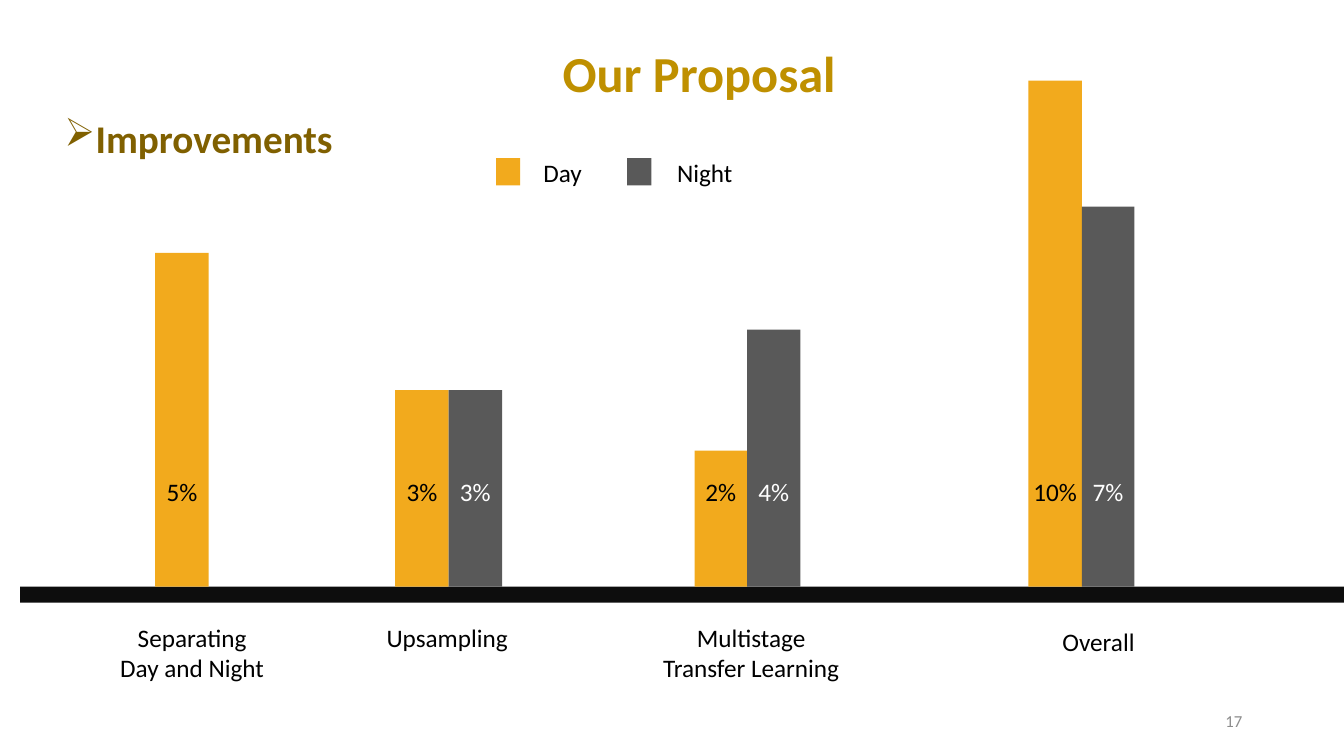
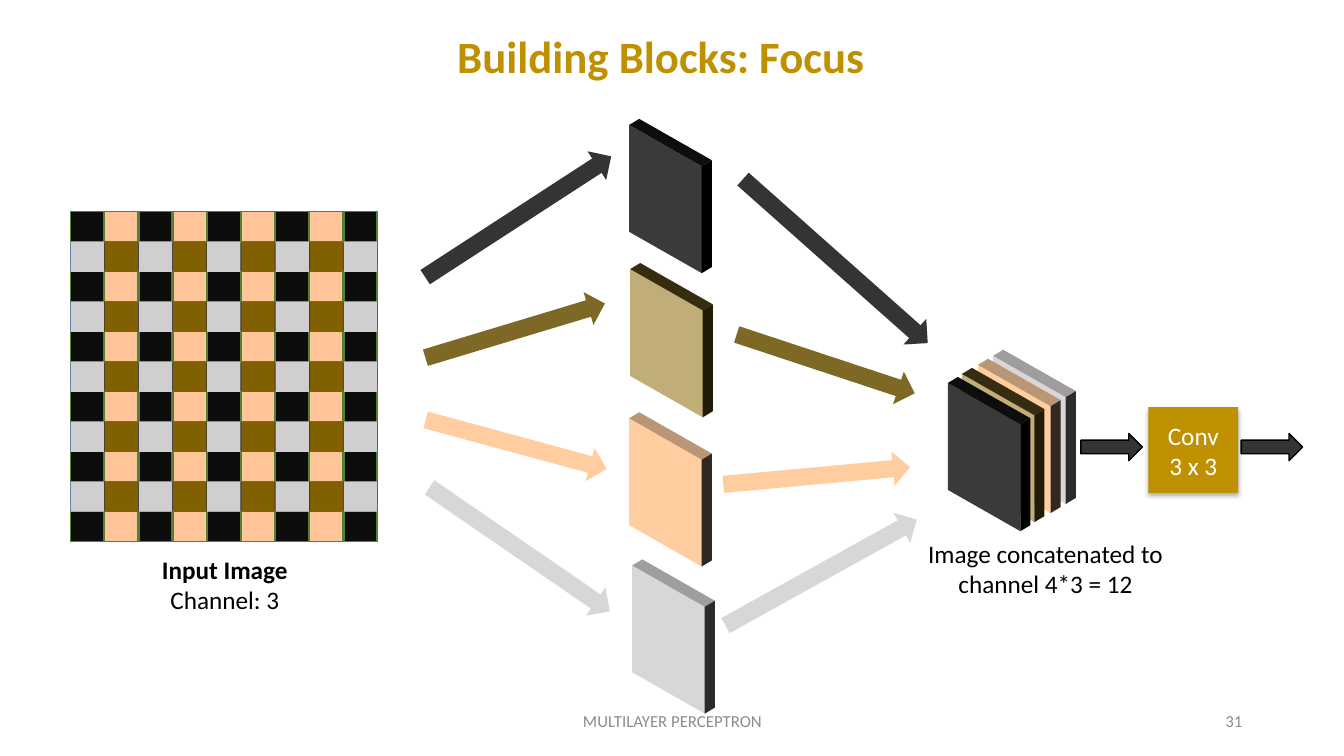
from pptx import Presentation
from pptx import util as u
from pptx.dml import color
from pptx.enum import shapes, text
from pptx.oxml import parse_xml
from pptx.oxml.ns import nsdecls

Inches = u.Inches
RECT = shapes.MSO_SHAPE.RECTANGLE
ARROW = shapes.MSO_SHAPE.RIGHT_ARROW
ALIGN = {"l": text.PP_ALIGN.LEFT, "c": text.PP_ALIGN.CENTER, "r": text.PP_ALIGN.RIGHT}

THEME = {
    "font": "Calibri",
    "size": {"title": 36, "small_title": 32, "heading": 28, "body": 18, "footer": 12},
    "color": {
        "title": "BF9000", "heading": "806000", "text": "000000", "white": "FFFFFF",
        "footer": "8C8C8C", "day": "F2AA1D", "night": "595959", "ink": "0D0D0D",
        "dark": "343434", "olive": "7E6825", "peach": "FFCD9F", "grey": "D8D6D6",
        "cell_peach": "FFC599", "cell_olive": "806000", "cell_grey": "D0CECE",
        "cell_line": "538035", "panel_line": "325491",
    },
    # Front, top and side of each slab
    "slab": {
        "dark": ("3A3A3A", "0D0D0D", "000000"),
        "olive": ("C0AD77", "362C10", "221B08"),
        "peach": ("FFCD9F", "BA9676", "33281F"),
        "grey": ("D8D6D6", "9F9D9D", "2B2B2B"),
    },
}
COLOR = {name: color.RGBColor.from_string(value) for name, value in THEME["color"].items()}


def write(page, at, lines, size="body", ink="text", bold=False, align="c", middle=False, box=None):
    """Put one paragraph per line into a new text box, or into the given shape."""
    box = box or page.shapes.add_textbox(*map(Inches, at))
    frame = box.text_frame
    frame.word_wrap = True
    frame.vertical_anchor = text.MSO_ANCHOR.MIDDLE if middle else text.MSO_ANCHOR.TOP
    for index, line in enumerate(lines):
        para = frame.paragraphs[0] if index == 0 else frame.add_paragraph()
        para.alignment = ALIGN[align]
        span = para.add_run()
        span.text = line
        span.font.color.rgb = COLOR[ink]
        look = {"name": THEME["font"], "size": u.Pt(THEME["size"][size]), "bold": bold}
        for name, value in look.items():
            setattr(span.font, name, value)
    return box


def draw(page, kind, at, fill, line=None, rotation=0):
    """Add a flat preset shape."""
    shape = page.shapes.add_shape(kind, *map(Inches, at))
    shape.shadow.inherit = False
    shape.rotation = rotation
    shape.fill.solid()
    shape.fill.fore_color.rgb = COLOR[fill]
    if line:
        shape.line.color.rgb = COLOR[line]
        shape.line.width = u.Pt(1)
    else:
        shape.line.fill.background()
    return shape


deck = Presentation()
deck.slide_width, deck.slide_height = Inches(13.33), Inches(7.5)
proposal, focus = [deck.slides.add_slide(deck.slide_layouts[6]) for _ in range(2)]

# Titles and page numbers
for page, title, at, size, number in (
    (proposal, "Our Proposal", (4.3, 0.37, 5.27, 0.71), "title", "17"),
    (focus, "Building Blocks: Focus", (2, 0.24, 9.11, 1.21), "small_title", "31"),
):
    write(page, at, [title], size, "title", bold=True)
    write(page, (9.42, 6.95, 3, 0.4), [number], "footer", "footer", align="r", middle=True)

# Proposal: heading with arrow bullet
heading = write(proposal, (0.54, 1.08, 12.25, 0.98), ["Improvements"], "heading", "heading",
                bold=True, align="l")
settings = heading.text_frame.paragraphs[0]._p.get_or_add_pPr()
settings.set("marL", str(Inches(0.31)))
settings.set("indent", str(-Inches(0.31)))
settings.append(parse_xml(f'<a:buChar {nsdecls("a")} char="➢"/>'))

# Proposal: axis and bars
baseline = 5.82
draw(proposal, RECT, (0.2, baseline, 13.13, 0.16), "ink")
for left, width, height, series, label in (
    (1.54, 0.53, 3.31, "day", "5%"),
    (3.92, 0.53, 1.95, "day", "3%"),
    (4.45, 0.53, 1.95, "night", "3%"),
    (6.89, 0.52, 1.35, "day", "2%"),
    (7.41, 0.53, 2.55, "night", "4%"),
    (10.2, 0.53, 5.02, "day", "10%"),
    (10.73, 0.52, 3.77, "night", "7%"),
):
    draw(proposal, RECT, (left, baseline - height, width, height), series)
    write(proposal, (left + width / 2 - 0.35, 4.68, 0.7, 0.4), [label],
          ink="text" if series == "day" else "white")

# Proposal: category names
for left, top, width, lines in (
    (0.98, 6.12, 1.85, ["Separating", "Day and Night"]),
    (3.51, 6.12, 1.85, ["Upsampling"]),
    (6.46, 6.12, 1.98, ["Multistage Transfer Learning"]),
    (9.97, 6.16, 1.85, ["Overall"]),
):
    write(proposal, (left, top, width, 0.4 * len(lines)), lines)

# Proposal: legend
for series, key_left, name_left, name in (
    ("day", 4.92, 5.16, "Day"),
    ("night", 6.22, 6.57, "Night"),
):
    draw(proposal, RECT, (key_left, 1.57, 0.24, 0.27), series)
    write(proposal, (name_left, 1.51, 0.84, 0.4), [name])

# Focus: input image, two alternating kinds of row
columns, rows = 9, 11
column_step, row_step = 0.339, 0.2975
draw(focus, RECT, (0.7, 2.1, 3.04, 3.27), "dark", "panel_line")
row_kinds = ((("ink", "cell_peach"), "cell_line"), (("cell_grey", "cell_olive"), None))
for kind, (fills, outline) in enumerate(row_kinds):
    for row in range(kind, rows, 2):
        for column in range(columns):
            at = (0.7 + column * column_step, 2.1 + row * row_step, 0.33, 0.3)
            draw(focus, RECT, at, fills[column % 2], outline)
caption = write(focus, (1.3, 5.45, 1.86, 0.71), ["Input Image", "Channel: 3"])
caption.text_frame.paragraphs[0].runs[0].font.bold = True

# Focus: slabs, the four slices and then the stack from back to front
across, slope, tall, depth, lift = 0.72, 0.41, 1.06, 0.1, -0.06
faces = (
    ((0, 0), (across, slope), (across, slope + tall), (0, tall)),
    ((0, 0), (depth, lift), (across + depth, slope + lift), (across, slope)),
    ((across, slope), (across + depth, slope + lift),
     (across + depth, slope + lift + tall), (across, slope + tall)),
)
for name, left, top in (
    ("dark", 6.24, 1.24), ("olive", 6.25, 2.67), ("peach", 6.24, 4.15), ("grey", 6.27, 5.61),
    ("grey", 9.85, 3.53), ("peach", 9.7, 3.62), ("olive", 9.54, 3.71), ("dark", 9.4, 3.8),
):
    for face, shade in zip(faces, THEME["slab"][name]):
        points = [(Inches(left + x), Inches(top + y)) for x, y in face]
        outline = focus.shapes.build_freeform(*points[0])
        outline.add_line_segments(points[1:])
        side = outline.convert_to_shape()
        side.shadow.inherit = False
        side.fill.solid()
        side.fill.fore_color.rgb = color.RGBColor.from_string(shade)
        side.line.fill.background()

# Focus: arrows into and out of the slices
for fill, left, top, width, rotation in (
    ("dark", 4.04, 1.98, 2.2, 327),
    ("olive", 4.18, 3.11, 1.86, 343.2),
    ("peach", 4.19, 4.24, 1.86, 15.2),
    ("grey", 4.07, 5.28, 2.17, 34.5),
    ("dark", 7.06, 2.42, 2.45, 41.6),
    ("olive", 7.26, 3.44, 1.86, 18.3),
    ("peach", 7.17, 4.55, 1.86, 354.7),
    ("grey", 7.06, 5.51, 2.17, 331),
):
    draw(focus, ARROW, (left, top, width, 0.34), fill, rotation=rotation)

# Focus: convolution step
write(focus, (9.04, 5.29, 2.66, 0.71), ["Image concatenated to", "channel 4*3 = 12"])
for left in (10.72, 12.31):
    draw(focus, ARROW, (left, 4.3, 0.61, 0.27), "dark", "text")
conv = draw(focus, RECT, (11.39, 4.04, 0.89, 0.85), "title")
write(focus, None, ["Conv", "3 x 3"], ink="white", middle=True, box=conv)
effects = conv._element.spPr.find("{*}effectLst")
effects.append(parse_xml(
    f'<a:outerShdw {nsdecls("a")} blurRad="{u.Pt(3.5)}" dist="{u.Pt(2.2)}" dir="5400000">'
    '<a:srgbClr val="000000"><a:alpha val="32000"/></a:srgbClr></a:outerShdw>'))

# Focus: footer
write(focus, (4.42, 6.95, 4.5, 0.4), ["MULTILAYER PERCEPTRON"], "footer", "footer", middle=True)

deck.save("out.pptx")
